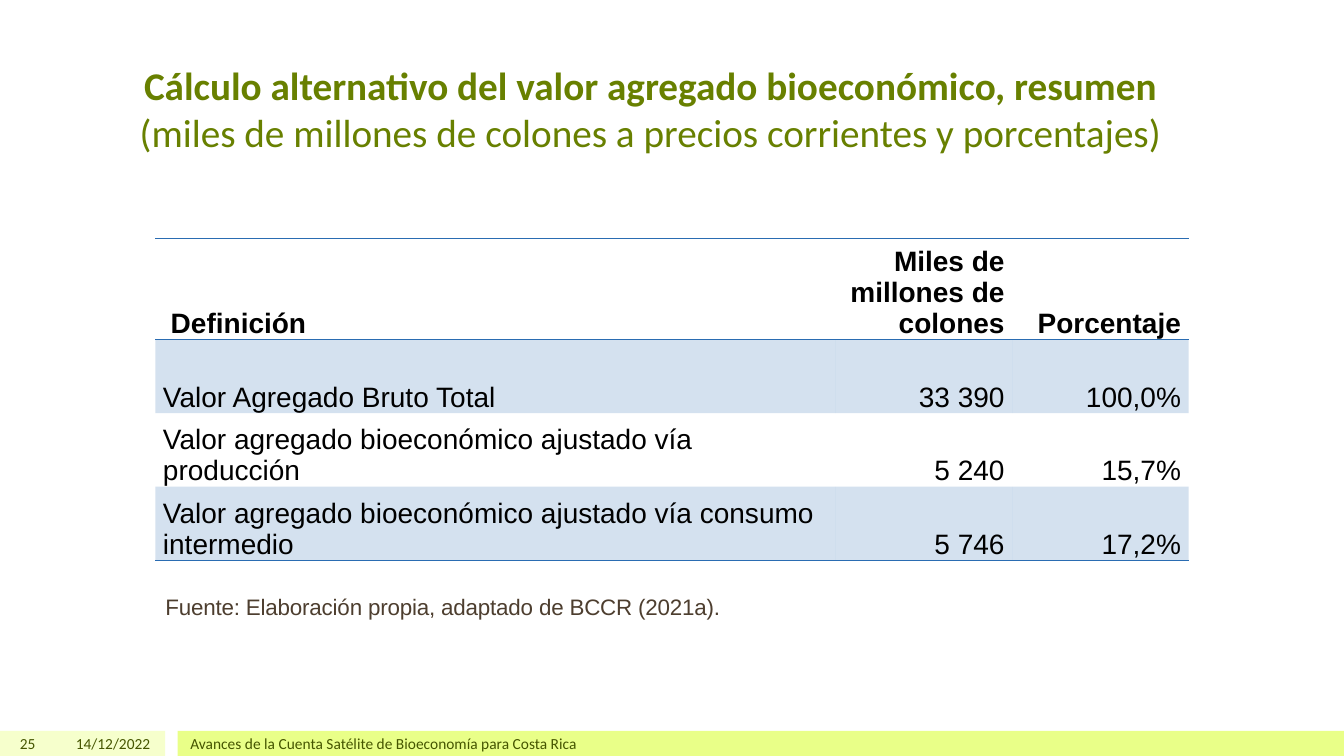
from dataclasses import dataclass

from lxml import etree
from pptx import Presentation
from pptx.dml.color import RGBColor
from pptx.enum import shapes, text
from pptx.oxml import ns
from pptx.util import Pt


@dataclass(frozen=True)
class Theme:
    heading_font: str = "Calibri"
    body_font: str = "Arial"
    title_color: str = "688000"
    footer_color: str = "455500"
    source_color: str = "4D3E2F"
    table_text: str = "000000"
    table_accent: str = "2A6CB2"
    footer_light: str = "F6FFCC"
    footer_strong: str = "E9FF88"
    title_size: int = 28
    table_size: int = 20
    source_size: int = 16
    footer_size: int = 11


THEME = Theme()
ALIGN = text.PP_ALIGN
ANCHOR = text.MSO_ANCHOR
FOOTER_TOP, FOOTER_HEIGHT = 522, 18
COLUMN_WIDTHS = (486, 126, 126)
ROW_HEIGHTS = (66.5, 52.5, 52.5, 52.5)
TABLE_ROWS = (
    (" Definición", "Miles de millones de colones", "Porcentaje"),
    ("Valor Agregado Bruto Total", "33 390", "100,0%"),
    ("Valor agregado bioeconómico ajustado vía producción", "5 240", "15,7%"),
    ("Valor agregado bioeconómico ajustado vía consumo intermedio", "5 746", "17,2%"),
)


def format_runs(paragraph, font, size, color, bold=False):
    for run in paragraph.runs:
        run.font.name = font
        run.font.size = Pt(size)
        run.font.bold = bold
        run.font.color.rgb = RGBColor.from_string(color)


def set_title(slide, heading, units):
    title = slide.shapes.title
    title.left, title.top, title.width, title.height = Pt(36), Pt(21.6), Pt(856.8), Pt(92.9)
    frame = title.text_frame
    frame.text = f"{heading}\v{units}"
    frame.auto_size = text.MSO_AUTO_SIZE.NONE
    frame.vertical_anchor = ANCHOR.BOTTOM
    paragraph = frame.paragraphs[0]
    paragraph.alignment = ALIGN.CENTER
    format_runs(paragraph, THEME.heading_font, THEME.title_size, THEME.title_color)
    paragraph.runs[0].font.bold = True


def add_bar(slide, left, width, color):
    bar = slide.shapes.add_shape(
        shapes.MSO_SHAPE.RECTANGLE, Pt(left), Pt(FOOTER_TOP), Pt(width), Pt(FOOTER_HEIGHT))
    bar.shadow.inherit = False
    bar.fill.solid()
    bar.fill.fore_color.rgb = RGBColor.from_string(color)
    bar.line.fill.background()


def add_text(slide, box, content, font, size, color, alignment, anchor=ANCHOR.TOP):
    shape = slide.shapes.add_textbox(*map(Pt, box))
    frame = shape.text_frame
    frame.word_wrap = True
    frame.vertical_anchor = anchor
    frame.text = content
    paragraph = frame.paragraphs[0]
    paragraph.alignment = alignment
    format_runs(paragraph, font, size, color)
    return paragraph


def add_footer_text(slide, left, width, content, alignment):
    add_text(slide, (left, FOOTER_TOP, width, FOOTER_HEIGHT), content, THEME.heading_font,
             THEME.footer_size, THEME.footer_color, alignment, ANCHOR.MIDDLE)


def add_source(slide, content):
    paragraph = add_text(slide, (111, 420.5, 480, 26.6), content, THEME.body_font,
                         THEME.source_size, THEME.source_color, ALIGN.JUSTIFY)
    paragraph.space_before = Pt(6)
    paragraph.runs[0].font._element.set("spc", "-10")


def set_borders(cell, ruled_sides):
    properties = cell._tc.get_or_add_tcPr()
    for index, side in enumerate("LRTB"):
        line = etree.Element(ns.qn(f"a:ln{side}"), w=str(Pt(1)))
        if side in ruled_sides:
            fill = etree.SubElement(line, ns.qn("a:solidFill"))
            etree.SubElement(fill, ns.qn("a:srgbClr"), val=THEME.table_accent)
        else:
            etree.SubElement(line, ns.qn("a:noFill"))
        properties.insert(index, line)


def shade_cell(cell, shaded):
    if not shaded:
        cell.fill.background()
        return
    cell.fill.solid()
    cell.fill.fore_color.rgb = RGBColor.from_string(THEME.table_accent)
    color = cell._tc.tcPr.find(".//" + ns.qn("a:solidFill") + "/" + ns.qn("a:srgbClr"))
    etree.SubElement(color, ns.qn("a:alpha"), val="20000")


def fill_cell(cell, content, alignment, bold):
    cell.margin_left = cell.margin_right = Pt(5.4)
    cell.margin_top = cell.margin_bottom = 0
    cell.vertical_anchor = ANCHOR.BOTTOM
    cell.text_frame.text = content
    paragraph = cell.text_frame.paragraphs[0]
    paragraph.alignment = alignment
    paragraph.space_after = Pt(6)
    format_runs(paragraph, THEME.body_font, THEME.table_size, THEME.table_text, bold)


def add_summary_table(slide):
    table = slide.shapes.add_table(
        len(TABLE_ROWS), len(COLUMN_WIDTHS), Pt(111), Pt(170.6),
        Pt(sum(COLUMN_WIDTHS)), Pt(sum(ROW_HEIGHTS))).table
    table.horz_banding = False
    for column, width in zip(table.columns, COLUMN_WIDTHS):
        column.width = Pt(width)
    for row_index, (row, values) in enumerate(zip(table.rows, TABLE_ROWS)):
        row.height = Pt(ROW_HEIGHTS[row_index])
        header = row_index == 0
        last = row_index == len(TABLE_ROWS) - 1
        ruled_sides = "TB" if header else "T" if row_index == 1 else "B" if last else ""
        for column_index, (cell, value) in enumerate(zip(row.cells, values)):
            alignment = ALIGN.RIGHT if column_index else ALIGN.LEFT
            fill_cell(cell, value, alignment, header)
            shade_cell(cell, row_index % 2 == 1)
            set_borders(cell, ruled_sides)


def main():
    presentation = Presentation()
    presentation.slide_width, presentation.slide_height = Pt(960), Pt(540)
    slide = presentation.slides.add_slide(presentation.slide_layouts[5])
    add_bar(slide, 0, 118, THEME.footer_light)
    add_bar(slide, 127, 833, THEME.footer_strong)
    set_title(slide, "Cálculo alternativo del valor agregado bioeconómico, resumen",
              "(miles de millones de colones a precios corrientes y porcentajes)")
    add_footer_text(slide, 0, 32.4, "25", ALIGN.RIGHT)
    add_footer_text(slide, 36, 78.5, "14/12/2022", ALIGN.RIGHT)
    add_footer_text(slide, 128.9, 720,
                    "Avances de la Cuenta Satélite de Bioeconomía para Costa Rica", ALIGN.LEFT)
    add_summary_table(slide)
    add_source(slide, "Fuente: Elaboración propia, adaptado de BCCR (2021a).")
    presentation.save("out.pptx")


if __name__ == "__main__":
    main()
